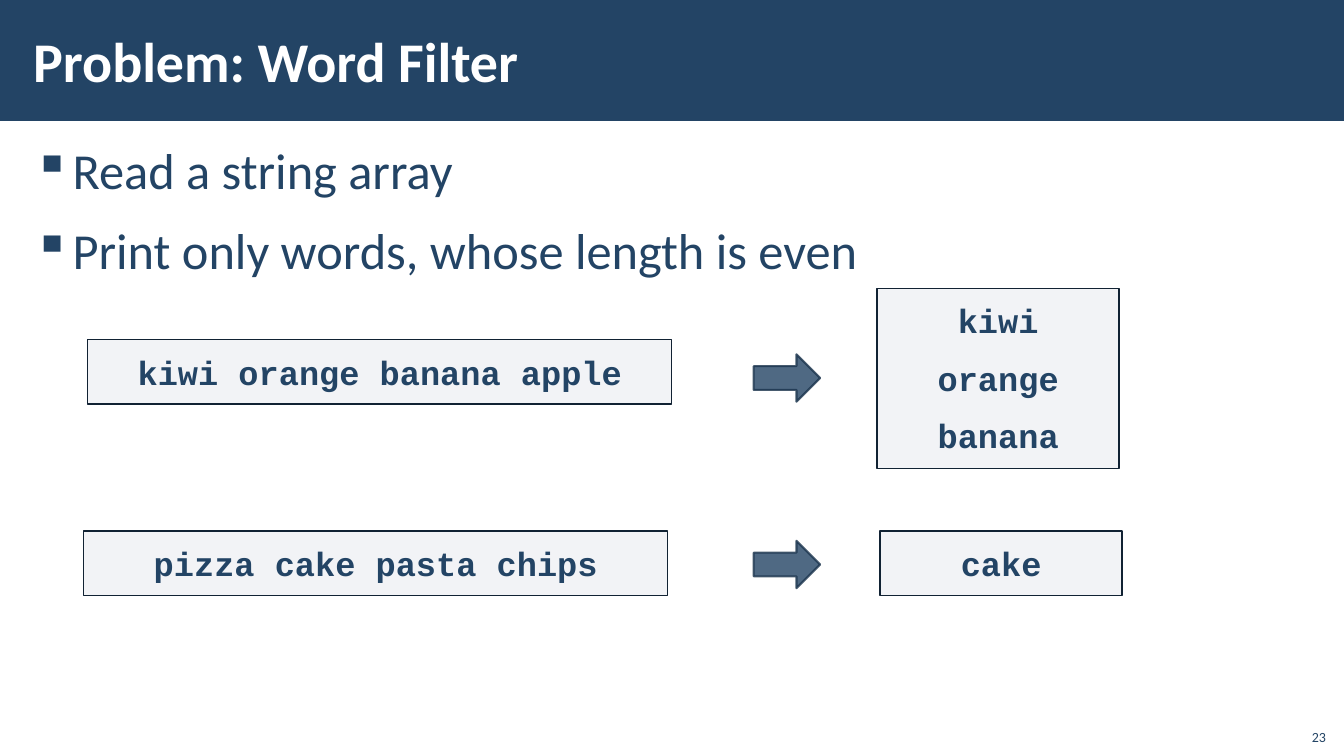
import pptx
import pptx.util
import pptx.dml.color
import pptx.enum.shapes
import pptx.enum.text
import pptx.oxml
import pptx.oxml.ns

PX = 9144
COLORS = {
    "navy": "234465",
    "white": "FFFFFF",
    "panel": "ADB4C3",
    "panel_edge": "112233",
    "arrow_edge": "1A334C",
}
ALIGN = pptx.enum.text.PP_ALIGN
ANCHOR = pptx.enum.text.MSO_ANCHOR
SHAPE = pptx.enum.shapes.MSO_SHAPE


def px(*lengths):
    return [pptx.util.Emu(length * PX) for length in lengths]


def rgb(name):
    return pptx.dml.color.RGBColor.from_string(COLORS[name])


def set_opacity(parent, percent):
    color = parent.find(pptx.oxml.ns.qn("a:solidFill"))[0]
    namespace = pptx.oxml.ns.nsdecls("a")
    color.append(pptx.oxml.parse_xml(f'<a:alpha {namespace} val="{percent * 1000}"/>'))


def add_panel(slide, kind, box, fill, opacity=100, edge=None, width=1):
    shape = slide.shapes.add_shape(kind, *px(*box))
    shape.shadow.inherit = False
    shape.fill.solid()
    shape.fill.fore_color.rgb = rgb(fill)
    set_opacity(shape._element.spPr, opacity)
    if edge:
        shape.line.color.rgb = rgb(edge)
        shape.line.width = pptx.util.Pt(width)
    else:
        shape.line.fill.background()
    return shape


def write_lines(shape, lines, size, color="navy", font="Calibri", bold=False,
                align=ALIGN.LEFT, anchor=ANCHOR.TOP, insets=(12, 4), spacing=0):
    frame = shape.text_frame
    frame.word_wrap = True
    frame.vertical_anchor = anchor
    frame.margin_left = frame.margin_right = px(insets[0])[0]
    frame.margin_top = frame.margin_bottom = px(insets[1])[0]
    frame.text = "\n".join(lines)
    for paragraph in frame.paragraphs:
        paragraph.alignment = align
        paragraph.space_before = paragraph.space_after = pptx.util.Pt(spacing)
        paragraph.font.name = font
        paragraph.font.size = pptx.util.Pt(size)
        paragraph.font.bold = bold
        paragraph.font.color.rgb = rgb(color)
    return frame


def add_header(slide, box, title):
    left, top, width, height = box
    add_panel(slide, SHAPE.RECTANGLE, box, "navy")
    title_box = slide.shapes.add_textbox(*px(left + 21, top + 11, 1063, height - 23))
    write_lines(title_box, [title], 40, "white", bold=True, anchor=ANCHOR.MIDDLE)


def add_bullets(slide, box, lines):
    body = slide.shapes.add_textbox(*px(*box))
    frame = write_lines(body, lines, 36, spacing=6)
    indent = px(39)[0]
    namespace = pptx.oxml.ns.nsdecls("a")
    for paragraph in frame.paragraphs:
        paragraph.line_spacing = 1.05
        properties = paragraph._p.get_or_add_pPr()
        properties.set("marL", str(indent))
        properties.set("indent", str(-indent))
        bullet = pptx.oxml.parse_xml(f'<a:buChar {namespace} char="▪"/>')
        properties.insert_element_before(bullet, "a:tabLst", "a:defRPr", "a:extLst")


def add_code_box(slide, box, lines):
    shape = add_panel(slide, SHAPE.RECTANGLE, box, "panel", 15, "panel_edge")
    frame = write_lines(shape, lines, 24, font="Courier New", bold=True,
                        align=ALIGN.CENTER, insets=(16, 12), spacing=6)
    frame.auto_size = pptx.enum.text.MSO_AUTO_SIZE.SHAPE_TO_FIT_TEXT


def add_arrow(slide, box):
    arrow = add_panel(slide, SHAPE.DOWN_ARROW, box, "navy", 80, "arrow_edge", 1.5)
    arrow.rotation = 270
    set_opacity(arrow.line._get_or_add_ln(), 80)


def add_example(slide, input_box, words, arrow_box, output_box, results):
    add_code_box(slide, input_box, [words])
    add_code_box(slide, output_box, results)
    add_arrow(slide, arrow_box)


def add_page_number(slide, box, number):
    number_box = slide.shapes.add_textbox(*px(*box))
    write_lines(number_box, [number], 10, align=ALIGN.RIGHT, anchor=ANCHOR.BOTTOM,
                insets=(10, 5))


def main():
    deck = pptx.Presentation()
    deck.slide_width, deck.slide_height = px(1333, 750)
    slide = deck.slides.add_slide(deck.slide_layouts[6])
    add_header(slide, (0, 0, 1334, 120), "Problem: Word Filter")
    add_bullets(slide, (21, 131, 1292, 605),
                ["Read a string array", "Print only words, whose length is even"])
    add_example(slide, (87, 337, 579, 64), "kiwi orange banana apple",
                (757, 342, 47, 66), (870, 286, 240, 179), ["kiwi", "orange", "banana"])
    add_example(slide, (83, 527, 579, 64), "pizza cake pasta chips",
                (757, 527, 47, 66), (873, 527, 240, 64), ["cake"])
    add_page_number(slide, (1285, 712, 40, 32), "23")
    deck.save("out.pptx")


if __name__ == "__main__":
    main()
